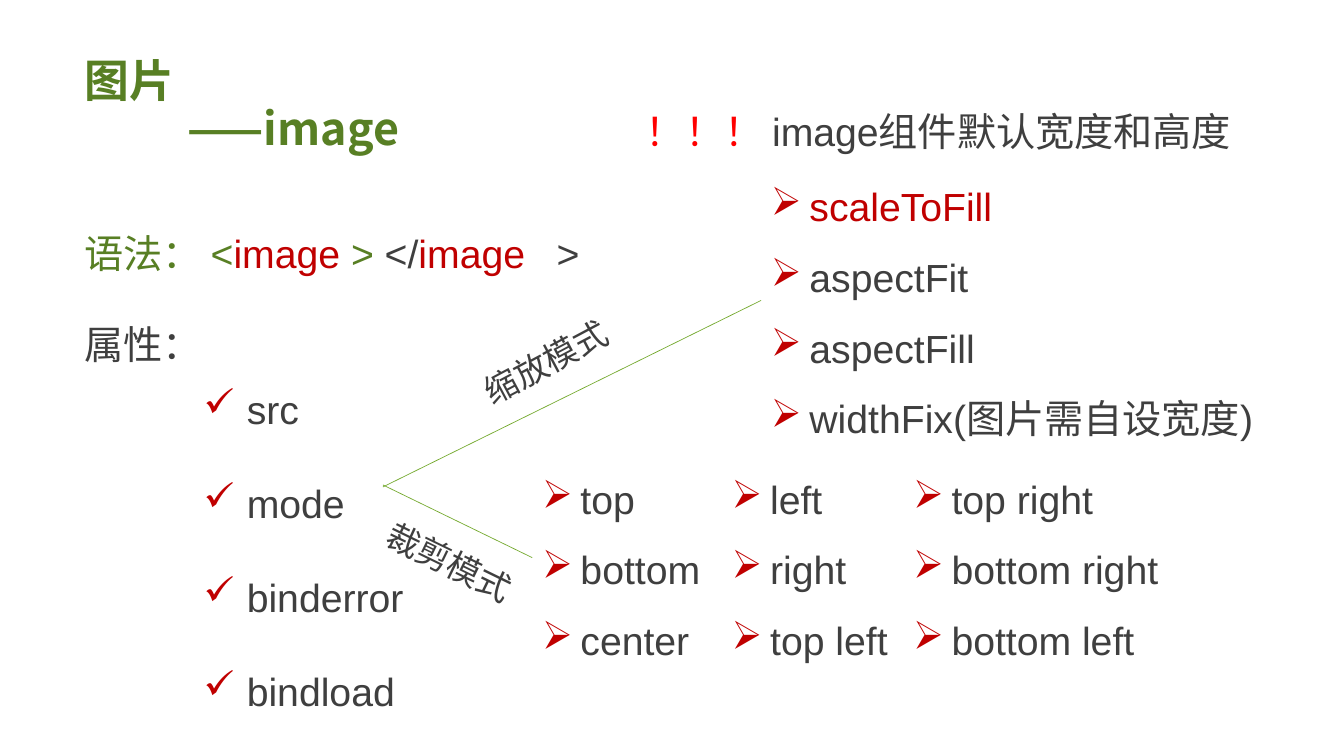
from lxml.etree import SubElement
from pptx import Presentation
from pptx.dml.color import RGBColor
from pptx.enum.shapes import MSO_CONNECTOR as Connector
from pptx.enum.text import MSO_ANCHOR as Anchor, PP_ALIGN as Align
from pptx.oxml.ns import qn
from pptx.util import Cm, Pt

GREEN, RED, DARK, BRIGHT = "587F24", "C00000", "3F3F3F", "FF0000"
LINE_GREEN = "76AA30"
HEAD_FONT = "Noto Sans CJK SC"
BODY = {"name": "Arial", "size": Pt(28)}
LABEL = {"name": HEAD_FONT, "size": Pt(24)}
TITLE = {"name": HEAD_FONT, "size": Pt(32), "bold": True}

ARROW = {"mark": "➢", "hang": 0.97, "spacing": 1.5}
CHECK = {"mark": "✓", "hang": 1.09, "spacing": 2.0}

title = [[("图片", GREEN)], [("——image", GREEN)]]
syntax = [[("语法： <", GREEN), ("image ", RED), ("> ", GREEN),
           ("</", DARK), ("image\t", RED), (">", DARK)]]
heading = [[("属性：", DARK)]]
note = [[("！！！", BRIGHT), (" image组件默认宽度和高度", DARK)]]
attributes = ["src", "mode", "binderror", "bindload"]
scale_modes = ["scaleToFill", "aspectFit", "aspectFill", "widthFix(图片需自设宽度)"]
crop_columns = [
    (13.41, ["top", "bottom", "center"]),
    (18.19, ["left", "right", "top left"]),
    (22.76, ["top right", "bottom right", "bottom left"]),
]
mode_labels = [
    ("裁剪模式", (8.28, 13.39, 6.1, 1.52), 26),
    ("缩放模式", (10.41, 8.1, 6.68, 2.03), 332),
]
branches = [(9.65, 12.27, 19.18, 7.57), (9.65, 12.22, 13.41, 14.05)]


def color(value):
    return RGBColor.from_string(value)


def add_text(page, area, lines, font, anchor=Anchor.MIDDLE, spacing=1.0,
             align=Align.LEFT, mark=None, hang=0, tab=None):
    box = page.shapes.add_textbox(*map(Cm, area))
    frame = box.text_frame
    frame.word_wrap = True
    frame.vertical_anchor = anchor
    for number, line in enumerate(lines):
        para = frame.paragraphs[0] if number == 0 else frame.add_paragraph()
        para.alignment = align
        para.line_spacing = spacing
        props = para._p.get_or_add_pPr()
        if mark:
            props.set("marL", str(Cm(hang)))
            props.set("indent", str(-Cm(hang)))
            tint = SubElement(props, qn("a:buClr"))
            SubElement(tint, qn("a:srgbClr"), val=RED)
            SubElement(props, qn("a:buChar"), char=mark)
        if tab:
            stops = SubElement(props, qn("a:tabLst"))
            SubElement(stops, qn("a:tab"), pos=str(Cm(tab)), algn="l")
        for words, tone in line:
            span = para.add_run()
            span.text = words
            for key, value in font.items():
                setattr(span.font, key, value)
            span.font.color.rgb = color(tone)
            if font["name"] == HEAD_FONT:
                SubElement(span._r.get_or_add_rPr(), qn("a:ea"), typeface=HEAD_FONT)
    return box


def add_list(page, area, items, style, accent=None):
    lines = [[(item, RED if item == accent else DARK)] for item in items]
    add_text(page, area, lines, BODY, **style)


def main():
    deck = Presentation()
    deck.slide_width, deck.slide_height = Cm(33.87), Cm(19.05)
    page = deck.slides.add_slide(deck.slide_layouts[6])

    heading_box = add_text(page, (1.88, 0.79, 22.96, 3.25), title, TITLE, Anchor.BOTTOM, 0.9)
    subtitle = heading_box.text_frame.paragraphs[1]
    subtitle._p.get_or_add_pPr().set("marL", str(Cm(2.6)))
    add_text(page, (1.88, 0.79, 31.06, 6.3), syntax, BODY, Anchor.BOTTOM, 2.0, tab=11.9)
    add_text(page, (1.88, 6.76, 28.96, 2.4), heading, BODY, Anchor.TOP, 2.0)
    add_text(page, (16.03, 1.4, 16.2, 2.62), note, BODY, Anchor.TOP, 2.0)

    add_list(page, (4.88, 8.89, 13.13, 8.76), attributes, CHECK)
    add_list(page, (19.18, 4.04, 13.77, 7.06), scale_modes, ARROW, accent="scaleToFill")
    for left, items in crop_columns:
        add_list(page, (left, 10.52, 8.26, 7.06), items, ARROW)

    for words, area, angle in mode_labels:
        label = add_text(page, area, [[(words, DARK)]], LABEL, align=Align.CENTER)
        label.rotation = angle
    for ends in branches:
        branch = page.shapes.add_connector(Connector.STRAIGHT, *map(Cm, ends))
        branch.line.color.rgb = color(LINE_GREEN)
        branch.line.width = Pt(0.5)
        SubElement(branch._element.spPr, qn("a:effectLst"))

    deck.save("out.pptx")


if __name__ == "__main__":
    main()
